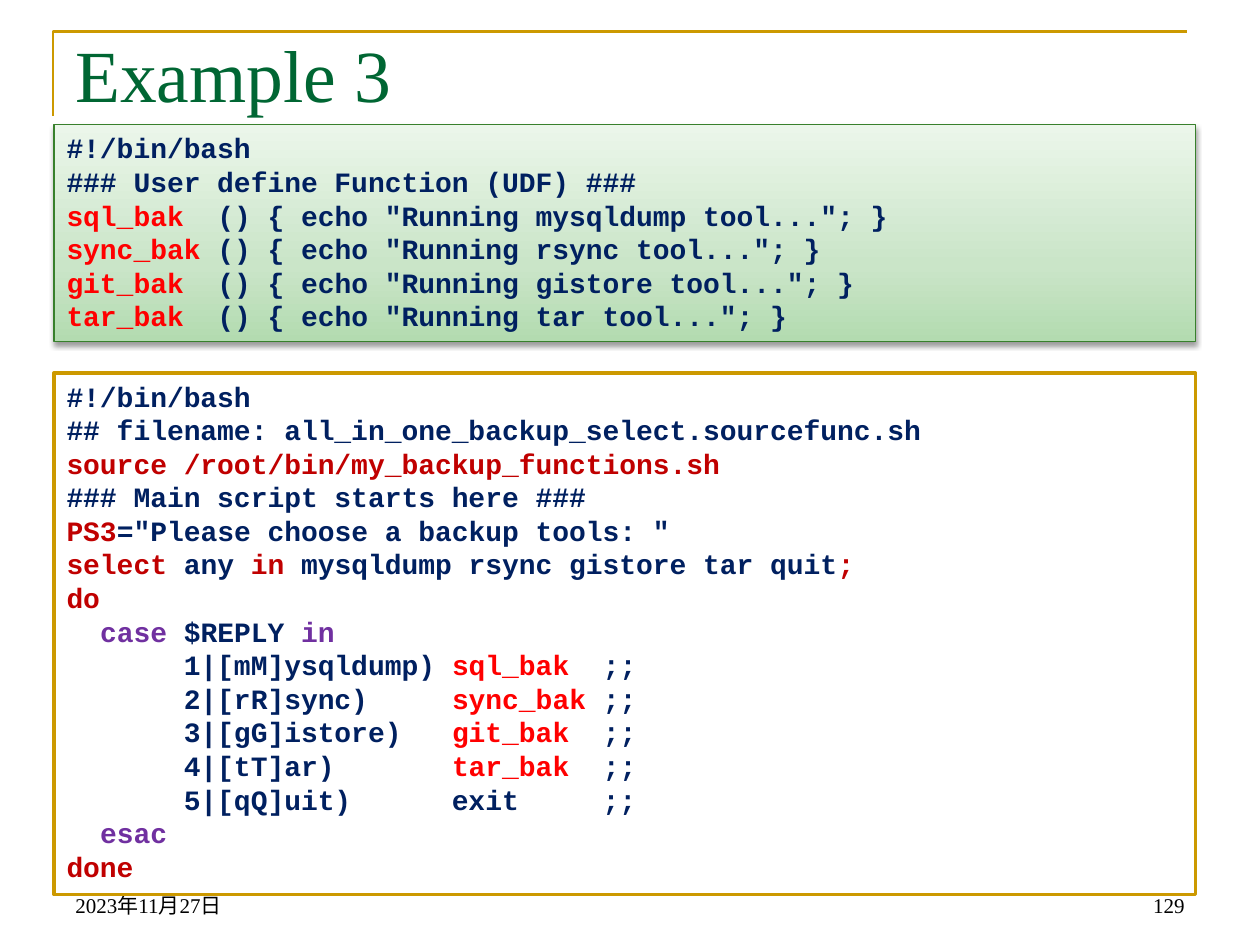
import copy

import lxml.etree
import pptx
import pptx.dml.color
import pptx.enum.shapes
import pptx.enum.text
import pptx.oxml.ns
import pptx.util
from pptx.util import Inches

NAVY, RED, DARK_RED, PURPLE = "002060", "FF0000", "C00000", "7030A0"
GOLD = "CC9900"
qn = pptx.oxml.ns.qn


def color(hex_value):
    return pptx.dml.color.RGBColor.from_string(hex_value)


def write(box, lines, font="Times New Roman", size=12, bold=False,
          align=pptx.enum.text.PP_ALIGN.LEFT, anchor=pptx.enum.text.MSO_ANCHOR.TOP):
    """Fill a box with lines, each a list of (text, colour) spans."""
    frame = box.text_frame
    frame.word_wrap = True
    frame.vertical_anchor = anchor
    for number, line in enumerate(lines):
        para = frame.add_paragraph() if number else frame.paragraphs[0]
        para.alignment = align
        for text, hex_value in line:
            span = para.add_run()
            span.text = text
            span.font.name = font
            span.font.size = pptx.util.Pt(size)
            span.font.bold = bold
            span.font.color.rgb = color(hex_value)


deck = pptx.Presentation()
deck.slide_width, deck.slide_height = Inches(10), Inches(7.5)
page = deck.slides.add_slide(deck.slide_layouts[6])
shapes = page.shapes

# Corner rule around the title
builder = shapes.build_freeform(Inches(0.42), Inches(0.92), scale=1.0)
builder.add_line_segments(
    [(Inches(0.42), Inches(0.25)), (Inches(9.42), Inches(0.25))], close=False)
corner = builder.convert_to_shape()
corner.shadow.inherit = False
corner.fill.background()
corner.line.color.rgb = color(GOLD)
corner.line.width = pptx.util.Pt(1.5)

# Title and footer
title = shapes.add_textbox(Inches(0.5), Inches(0.13), Inches(9), Inches(1.25))
title.text_frame.margin_top = Inches(0.1)
write(title, [[("Example 3", "006633")]], size=42)

for left, text, align in [(0.5, "2023年11月27日", pptx.enum.text.PP_ALIGN.LEFT),
                          (7.17, "129", pptx.enum.text.PP_ALIGN.RIGHT)]:
    footer = shapes.add_textbox(Inches(left), Inches(6.83), Inches(2.33), Inches(0.5))
    write(footer, [[(text, "000000")]], align=align,
          anchor=pptx.enum.text.MSO_ANCHOR.BOTTOM)

# Code listings
functions = [("sql_bak", "mysqldump"), ("sync_bak", "rsync"),
             ("git_bak", "gistore"), ("tar_bak", "tar")]
library_code = [
    [("#!/bin/bash", NAVY)],
    [("### User define Function (UDF) ###", NAVY)],
]
for name, tool in functions:
    gap = " " * (9 - len(name))
    library_code.append(
        [(name, RED), (f'{gap}() {{ echo "Running {tool} tool..."; }}', NAVY)])

main_code = [
    [("#!/bin/bash", NAVY)],
    [("## filename: all_in_one_backup_select.sourcefunc.sh", NAVY)],
    [("source /root/bin/my_backup_functions.sh", DARK_RED)],
    [("### Main script starts here ###", NAVY)],
    [("PS3", DARK_RED), ('="Please choose a backup tools: "', NAVY)],
    [("select", DARK_RED), (" any ", NAVY), ("in ", DARK_RED),
     ("mysqldump rsync gistore tar quit", NAVY), (";", DARK_RED)],
    [("do", DARK_RED)],
    [("  ", NAVY), ("case", PURPLE), (" $REPLY ", NAVY), ("in", PURPLE)],
]
choices = [("[mM]ysqldump)", "sql_bak", RED), ("[rR]sync)", "sync_bak", RED),
           ("[gG]istore)", "git_bak", RED), ("[tT]ar)", "tar_bak", RED),
           ("[qQ]uit)", "exit", NAVY)]
for number, (pattern, command, shade) in enumerate(choices, start=1):
    main_code.append([(f"       {number}|{pattern:<14}", NAVY), (command, shade),
                      (" " * (9 - len(command)) + ";;", NAVY)])
main_code += [[("  ", NAVY), ("esac", PURPLE)], [("done", DARK_RED)]]

code_boxes = []
for top, height, line_color, line_width, code in [
        (0.99, 1.72, "38802C", 0.75, library_code),
        (2.96, 4.14, GOLD, 2, main_code)]:
    box = shapes.add_shape(pptx.enum.shapes.MSO_SHAPE.RECTANGLE,
                           Inches(0.43), Inches(top), Inches(9.06), Inches(height))
    box.shadow.inherit = False
    box.fill.solid()
    box.fill.fore_color.rgb = color("FFFFFF")
    box.line.color.rgb = color(line_color)
    box.line.width = pptx.util.Pt(line_width)
    write(box, code, font="Courier New", size=16, bold=True)
    code_boxes.append(box)

# Green gradient and soft shadow on the function library
library = code_boxes[0]
library.fill.gradient()
library.fill.gradient_angle = 90
properties = library._element.spPr
stop_list = next(properties.iter(qn("a:gsLst")))
stop_list.append(copy.deepcopy(stop_list[0]))
for stop, (position, shade) in zip(
        library.fill.gradient_stops, [(0, "B3DBB0"), (0.35, "CAE5C8"), (1, "EBF6EA")]):
    stop.position = position
    stop.color.rgb = color(shade)

shadow = lxml.etree.SubElement(
    properties.find(qn("a:effectLst")), qn("a:outerShdw"),
    blurRad=str(pptx.util.Pt(3.1)), dist=str(pptx.util.Pt(1.6)),
    dir="5400000", rotWithShape="0")
shadow_color = lxml.etree.SubElement(shadow, qn("a:srgbClr"), val="000000")
lxml.etree.SubElement(shadow_color, qn("a:alpha"), val="38000")

deck.save("out.pptx")
